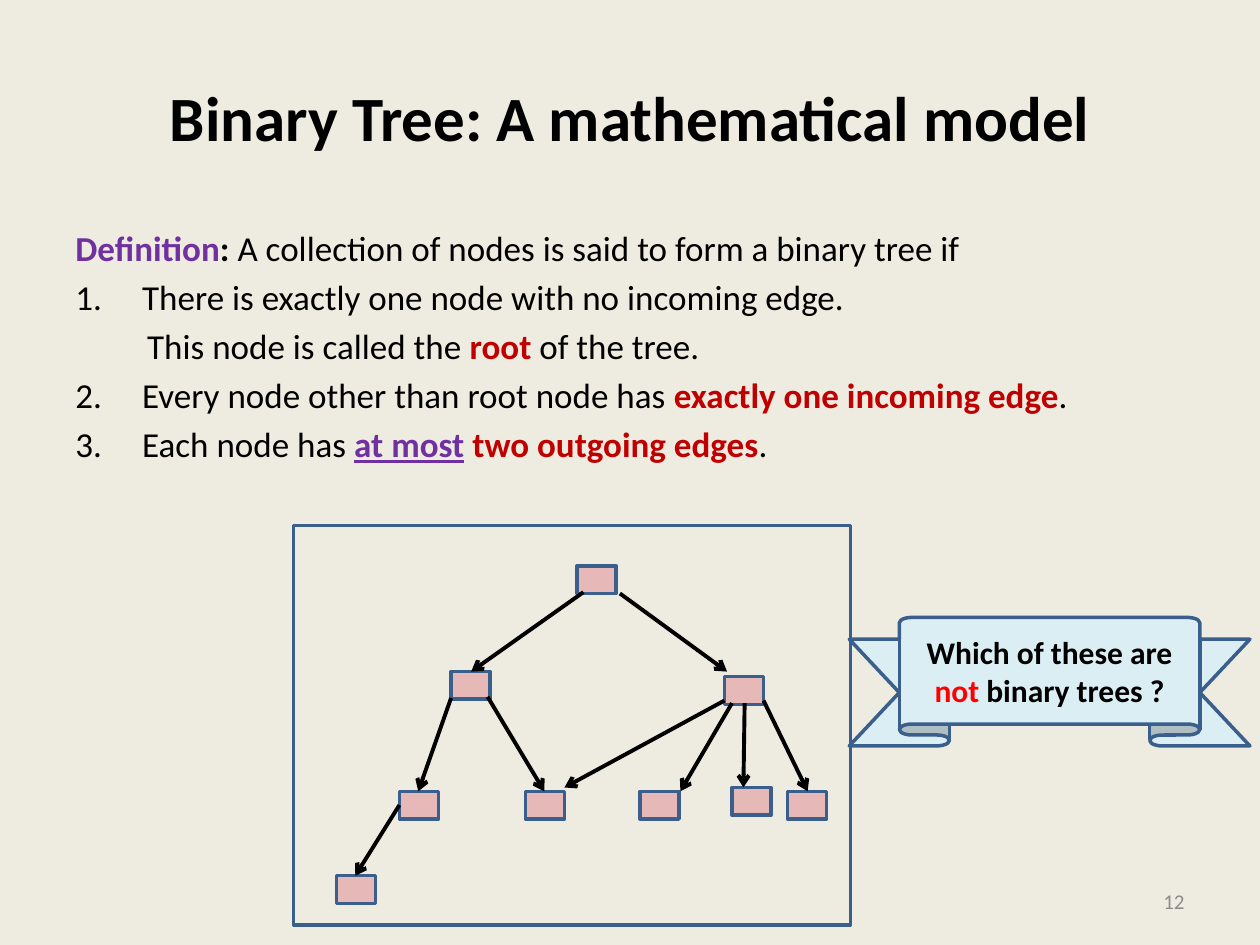
from dataclasses import dataclass

from lxml.etree import SubElement
from pptx import Presentation
from pptx.dml.color import RGBColor
from pptx.enum.shapes import MSO_CONNECTOR, MSO_SHAPE
from pptx.enum.text import MSO_ANCHOR, PP_ALIGN
from pptx.oxml.ns import qn
from pptx.util import Inches, Pt


@dataclass(frozen=True)
class Theme:
    font: str = "Calibri"
    background: str = "EEECE1"
    ink: str = "000000"
    purple: str = "7030A0"
    dark_red: str = "C00000"
    red: str = "FF0000"
    gray: str = "8C8C8C"
    node: str = "E6B9B8"
    ribbon: str = "DBEEF4"
    outline: str = "3A5F8C"
    title_size: int = 36
    body_size: int = 20
    callout_size: int = 18
    number_size: int = 12


theme = Theme()

deck = Presentation()
deck.slide_width, deck.slide_height = Inches(10), Inches(7.5)
page = deck.slides.add_slide(deck.slide_layouts[6])
page.background.fill.solid()
page.background.fill.fore_color.rgb = RGBColor.from_string(theme.background)


def write(para, spans, size, bold=False, align=PP_ALIGN.LEFT):
    """Fill a paragraph with (text, color, bold, underline) spans; all but text may be left out."""
    para.alignment = align
    para.font.name, para.font.size = theme.font, Pt(size)
    for text, color, strong, underline in (
        span + (theme.ink, bold, False)[len(span) - 1:] for span in spans
    ):
        run = para.add_run()
        run.text = text
        run.font.color.rgb = RGBColor.from_string(color)
        run.font.bold, run.font.underline = strong, underline


def add_outlined(kind, left, top, width, height, fill=None):
    shape = page.shapes.add_shape(kind, Inches(left), Inches(top), Inches(width), Inches(height))
    shape.shadow.inherit = False
    if fill:
        shape.fill.solid()
        shape.fill.fore_color.rgb = RGBColor.from_string(fill)
    else:
        shape.fill.background()
    shape.line.color.rgb = RGBColor.from_string(theme.outline)
    shape.line.width = Pt(2)
    return shape


# Title and page number
for text, size, color, bold, align, bounds in (
    ("Binary Tree: A mathematical model", theme.title_size, theme.ink, True,
     PP_ALIGN.CENTER, (0.5, 0.3, 9, 1.25)),
    ("12", theme.number_size, theme.gray, False, PP_ALIGN.RIGHT, (7.17, 6.95, 2.33, 0.4)),
):
    box = page.shapes.add_textbox(*map(Inches, bounds))
    box.text_frame.word_wrap = True
    box.text_frame.vertical_anchor = MSO_ANCHOR.MIDDLE
    write(box.text_frame.paragraphs[0], [(text, color)], size, bold, align)

# Definition: (left margin, first-line indent, spans)
definition = [
    (0, 0, [("Definition", theme.purple, True), (": ", theme.ink, True),
            ("A collection of nodes is said to form a binary tree if",)]),
    (0.53, -0.53, [("1.\tThere is exactly one node with no incoming edge.",)]),
    (0.57, 0, [("This node is called the ",), ("root", theme.dark_red, True),
               (" of the tree.",)]),
    (0.53, -0.53, [("2.\tEvery node other than root node has ",),
                   ("exactly one incoming edge", theme.dark_red, True), (".",)]),
    (0.53, -0.53, [("3.\tEach node has ",), ("at most", theme.purple, True, True), (" ",),
                   ("two outgoing edges", theme.dark_red, True), (".",)]),
]
box = page.shapes.add_textbox(Inches(0.5), Inches(1.75), Inches(9), Inches(4.95))
frame = box.text_frame
frame.word_wrap = True
for index, (margin, indent, spans) in enumerate(definition):
    para = frame.add_paragraph() if index else frame.paragraphs[0]
    write(para, spans, theme.body_size)
    para.space_before = Pt(4)
    properties = para._p.get_or_add_pPr()
    properties.set("marL", str(Inches(margin)))
    properties.set("indent", str(Inches(indent)))

# Tree
nodes = [
    (4.58, 4.49),
    (3.58, 5.33), (5.75, 5.37),
    (3.17, 6.28), (4.17, 6.28), (5.08, 6.28), (5.81, 6.25), (6.25, 6.28),
    (2.67, 6.95),
]
for left, top in nodes:
    add_outlined(MSO_SHAPE.RECTANGLE, left, top, 0.31, 0.22, theme.node)

edges = [
    (4.63, 4.7, 3.74, 5.33), (4.92, 4.71, 5.77, 5.33),
    (3.58, 5.54, 3.32, 6.28), (3.87, 5.53, 4.32, 6.28),
    (5.75, 5.56, 4.48, 6.25), (5.81, 5.58, 5.4, 6.28),
    (5.91, 5.58, 5.9, 6.25), (6.06, 5.56, 6.41, 6.28),
    (3.17, 6.39, 2.82, 6.95),
]
for ends in edges:
    edge = page.shapes.add_connector(MSO_CONNECTOR.STRAIGHT, *map(Inches, ends))
    edge.line.color.rgb = RGBColor.from_string(theme.ink)
    edge.line.width = Pt(2.25)
    SubElement(edge.line._get_or_add_ln(), qn("a:tailEnd"), type="arrow")
    SubElement(edge._element.spPr, qn("a:effectLst"))

# Question ribbon and frame around the tree
ribbon = add_outlined(MSO_SHAPE.UP_RIBBON, 6.74, 4.9, 3.18, 1.02, theme.ribbon)
ribbon.adjustments[0], ribbon.adjustments[1] = 0.17, 0.75
ribbon.text_frame.word_wrap = True
ribbon.text_frame.vertical_anchor = MSO_ANCHOR.MIDDLE
write(ribbon.text_frame.paragraphs[0],
      [("Which of these are ",), ("not", theme.red), (" binary trees ?",)],
      theme.callout_size, True, PP_ALIGN.CENTER)
add_outlined(MSO_SHAPE.RECTANGLE, 2.33, 4.17, 4.42, 3.17)

deck.save("out.pptx")
